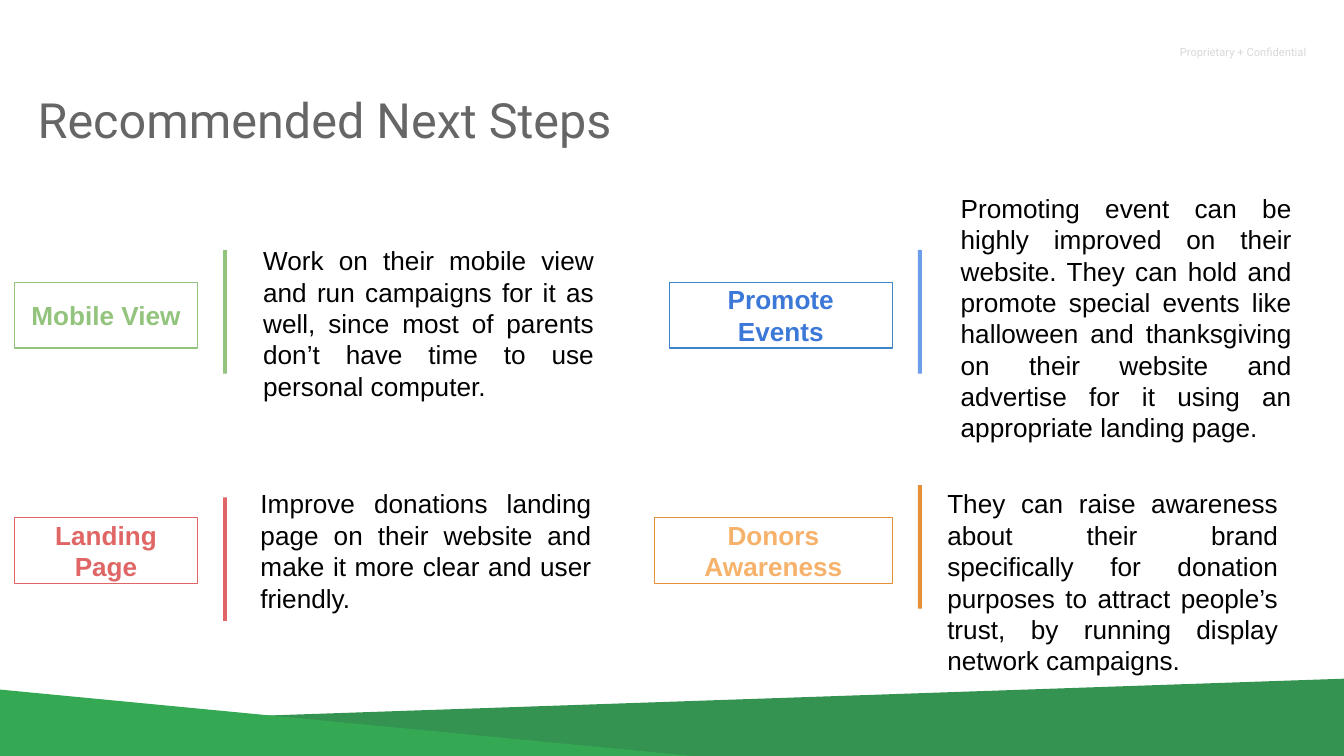
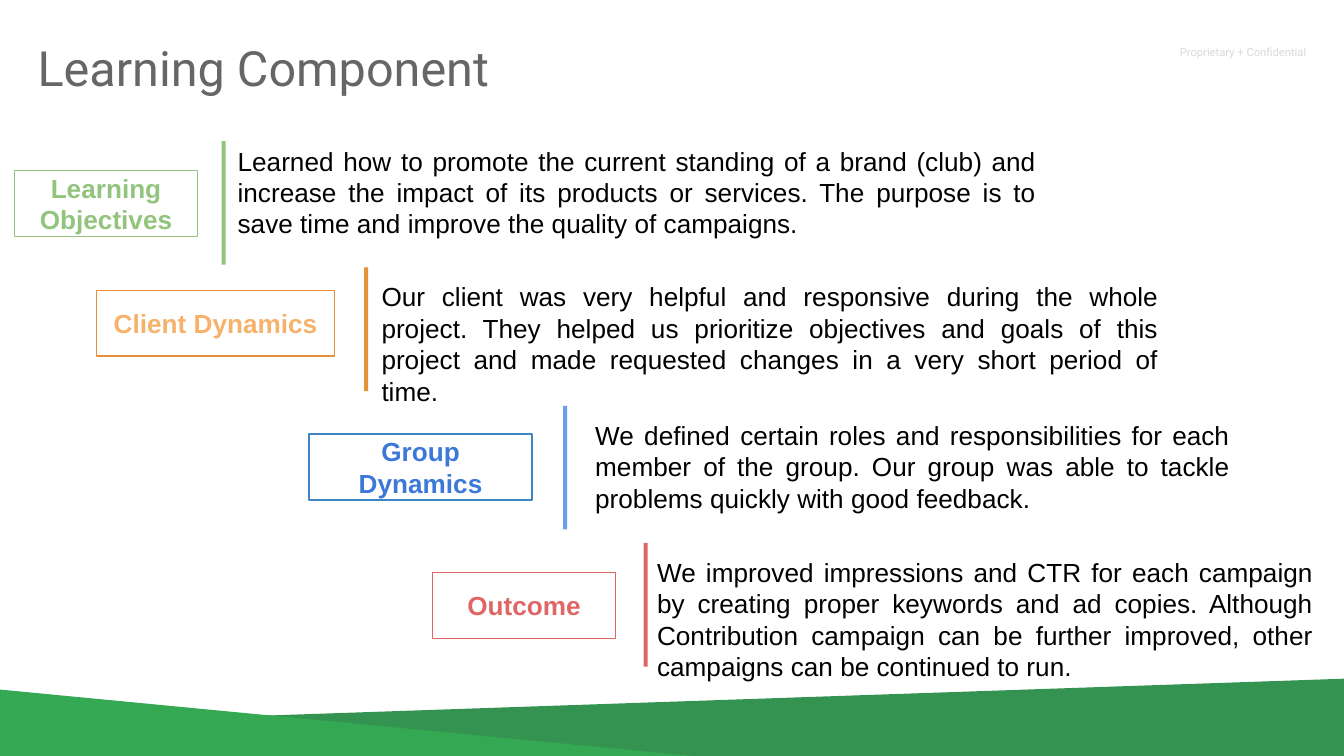
from dataclasses import dataclass

from pptx import Presentation
from pptx import util as u
from pptx.dml.color import RGBColor
from pptx.enum import shapes, text

WIDTH = u.Inches(10)
HEIGHT = u.Emu(WIDTH * 9 // 16)
CELL = WIDTH // 100

GREEN = RGBColor(0x93, 0xC4, 0x7D)
RED = RGBColor(0xE0, 0x66, 0x66)
BLUE_LINE = RGBColor(0x3D, 0x85, 0xC6)
BLUE_TEXT = RGBColor(0x3C, 0x78, 0xD8)
BLUE_BAR = RGBColor(0x6D, 0x9E, 0xEB)
ORANGE = RGBColor(0xE6, 0x91, 0x38)
ORANGE_TEXT = RGBColor(0xF6, 0xB2, 0x6B)
BAND_DARK = RGBColor(0x34, 0x93, 0x51)
BAND_LIGHT = RGBColor(0x34, 0xA8, 0x53)
TITLE_GRAY = RGBColor(0x66, 0x66, 0x66)
NOTICE_GRAY = RGBColor(0xD9, 0xD9, 0xD9)
BLACK = RGBColor(0, 0, 0)

LABEL_ROWS = 4.9
BAR_SIZE = (0.3, 9.2)


@dataclass(frozen=True)
class Tone:
    line: RGBColor
    font: RGBColor
    bar: RGBColor
    label_cols: float


@dataclass(frozen=True)
class Band:
    color: RGBColor
    points: tuple[tuple[float, float], ...]


@dataclass(frozen=True)
class Step:
    tone: Tone
    label: str
    label_at: tuple[float, float]
    bar_at: tuple[float, float]
    body_box: tuple[float, float, float, float]
    body: str


@dataclass(frozen=True)
class Page:
    title: str
    title_row: float
    steps: tuple[Step, ...]


GREEN_TONE = Tone(GREEN, GREEN, GREEN, 13.6)
RED_TONE = Tone(RED, RED, RED, 13.6)
BLUE_TONE = Tone(BLUE_LINE, BLUE_TEXT, BLUE_BAR, 16.6)
ORANGE_TONE = Tone(ORANGE, ORANGE_TEXT, ORANGE, 17.7)

BANDS = (
    Band(BAND_DARK, ((100.3, 56.5), (100.1, 50.5), (0.8, 53.9), (0.9, 56.2))),
    Band(BAND_LIGHT, ((52, 56.3), (-0.1, 51.3), (-0.1, 56.4))),
)

PAGES = (
    Page("Recommended Next Steps", 5.7, (
        Step(GREEN_TONE, "Mobile View", (1.1, 21), (16.6, 18.6),
             (18.6, 17.2, 26.6, 13.2),
             "Work on their mobile view and run campaigns for it as well, "
             "since most of parents don’t have time to use personal computer."),
        Step(RED_TONE, "Landing Page", (1.1, 38.5), (16.6, 37),
             (18.4, 35.3, 26.6, 13.2),
             "Improve donations landing page on their website and make it "
             "more clear and user friendly."),
        Step(BLUE_TONE, "Promote Events", (49.8, 21), (68.3, 18.6),
             (70.5, 13.3, 26.6, 19.7),
             "Promoting event can be highly improved on their website. They "
             "can hold and promote special events like halloween and "
             "thanksgiving on their website and advertise for it using an "
             "appropriate landing page."),
        Step(ORANGE_TONE, "Donors Awareness", (48.7, 38.5), (68.3, 36.1),
             (69.5, 35.3, 26.6, 13.2),
             "They can raise awareness about their brand specifically for "
             "donation purposes to attract people’s trust, by running "
             "display network campaigns."),
    )),
    Page("Learning Component", 1.8, (
        Step(GREEN_TONE, "Learning Objectives", (1.1, 12.7), (16.5, 10.5),
             (16.7, 9.8, 61.4, 8.7),
             "Learned how to promote the current standing of a brand (club) "
             "and increase the impact of its products or services. The "
             "purpose is to save time and improve the quality of campaigns."),
        Step(ORANGE_TONE, "Client Dynamics", (7.2, 21.6), (27.1, 19.9),
             (27.4, 19.9, 59.8, 8.7),
             "Our client was very helpful and responsive during the whole "
             "project. They helped us prioritize objectives and goals of "
             "this project and made requested changes in a very short "
             "period of time."),
        Step(BLUE_TONE, "Group Dynamics", (23, 32.3), (41.9, 30.2),
             (43.3, 30.2, 49.2, 8.7),
             "We defined certain roles and responsibilities for each member "
             "of the group. Our group was able to tackle problems quickly "
             "with good feedback."),
        Step(RED_TONE, "Outcome", (32.2, 42.6), (47.9, 40.4),
             (47.9, 40.4, 50.8, 8.7),
             "We improved impressions and CTR for each campaign by creating "
             "proper keywords and ad copies. Although Contribution campaign "
             "can be further improved, other campaigns can be continued to "
             "run."),
    )),
)


def cells(*counts: float) -> list[u.Emu]:
    return [u.Emu(round(count * CELL)) for count in counts]


def write(sp, content: str, *, size: float = 14, font: str = "Arial",
          color: RGBColor = BLACK, bold: bool = False,
          align=text.PP_ALIGN.LEFT, anchor=text.MSO_ANCHOR.TOP) -> None:
    tf = sp.text_frame
    tf.word_wrap = True
    tf.auto_size = text.MSO_AUTO_SIZE.NONE
    tf.vertical_anchor = anchor
    tf.margin_left = tf.margin_right = tf.margin_top = tf.margin_bottom = CELL
    p = tf.paragraphs[0]
    p.alignment = align
    r = p.add_run()
    r.text = content
    r.font.size = u.Pt(size)
    r.font.name = font
    r.font.bold = bold
    r.font.color.rgb = color


def fill_plain(sp, color: RGBColor) -> None:
    sp.shadow.inherit = False
    sp.fill.solid()
    sp.fill.fore_color.rgb = color
    sp.line.fill.background()


def draw_band(s, band: Band) -> None:
    start, *rest = [cells(*point) for point in band.points]
    builder = s.shapes.build_freeform(*start)
    builder.add_line_segments(rest, close=True)
    fill_plain(builder.convert_to_shape(), band.color)


def draw_label(s, step: Step) -> None:
    sp = s.shapes.add_shape(
        shapes.MSO_SHAPE.RECTANGLE,
        *cells(*step.label_at, step.tone.label_cols, LABEL_ROWS))
    sp.shadow.inherit = False
    sp.fill.background()
    sp.line.color.rgb = step.tone.line
    sp.line.width = u.Pt(0.75)
    write(sp, step.label, color=step.tone.font, bold=True,
          align=text.PP_ALIGN.CENTER, anchor=text.MSO_ANCHOR.MIDDLE)


def draw_step(s, step: Step) -> None:
    draw_label(s, step)
    bar = s.shapes.add_shape(shapes.MSO_SHAPE.RECTANGLE,
                             *cells(*step.bar_at, *BAR_SIZE))
    fill_plain(bar, step.tone.bar)
    write(s.shapes.add_textbox(*cells(*step.body_box)), step.body,
          align=text.PP_ALIGN.JUSTIFY)


def draw_page(prs, page: Page) -> None:
    s = prs.slides.add_slide(prs.slide_layouts.get_by_name("Title Only"))
    for band in BANDS:
        draw_band(s, band)
    write(s.shapes.add_textbox(*cells(86.8, 2.4, 13.2, 3.3)),
          "Proprietary + Confidential", size=6, font="Roboto",
          color=NOTICE_GRAY)
    title = s.shapes.title
    title.left, title.top, title.width, title.height = cells(
        1.8, page.title_row, 72.3, 8.3)
    write(title, page.title, size=26, font="Roboto", color=TITLE_GRAY)
    for step in page.steps:
        draw_step(s, step)


def main() -> None:
    prs = Presentation()
    prs.slide_width, prs.slide_height = WIDTH, HEIGHT
    for page in PAGES:
        draw_page(prs, page)
    prs.save("out.pptx")


if __name__ == "__main__":
    main()
